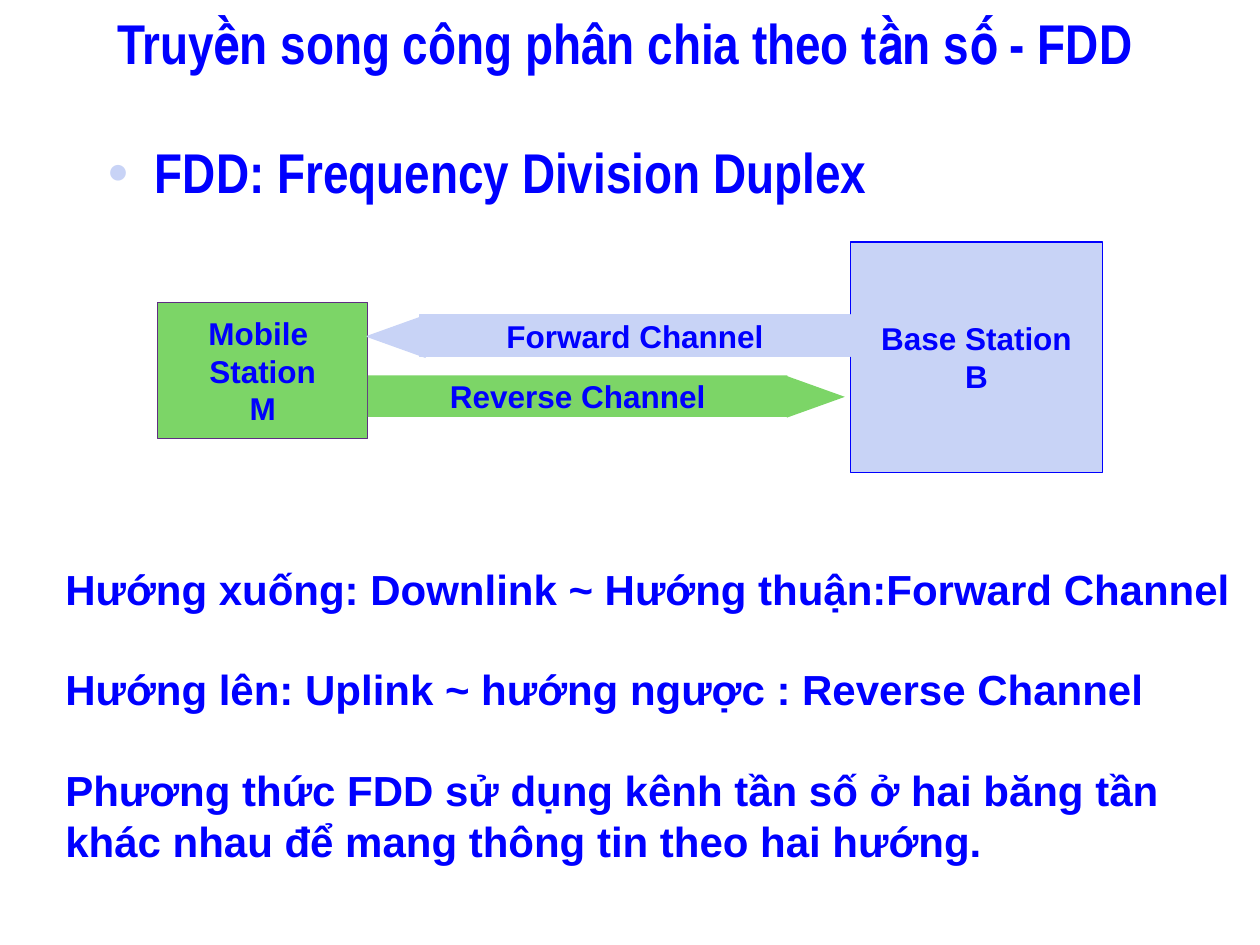
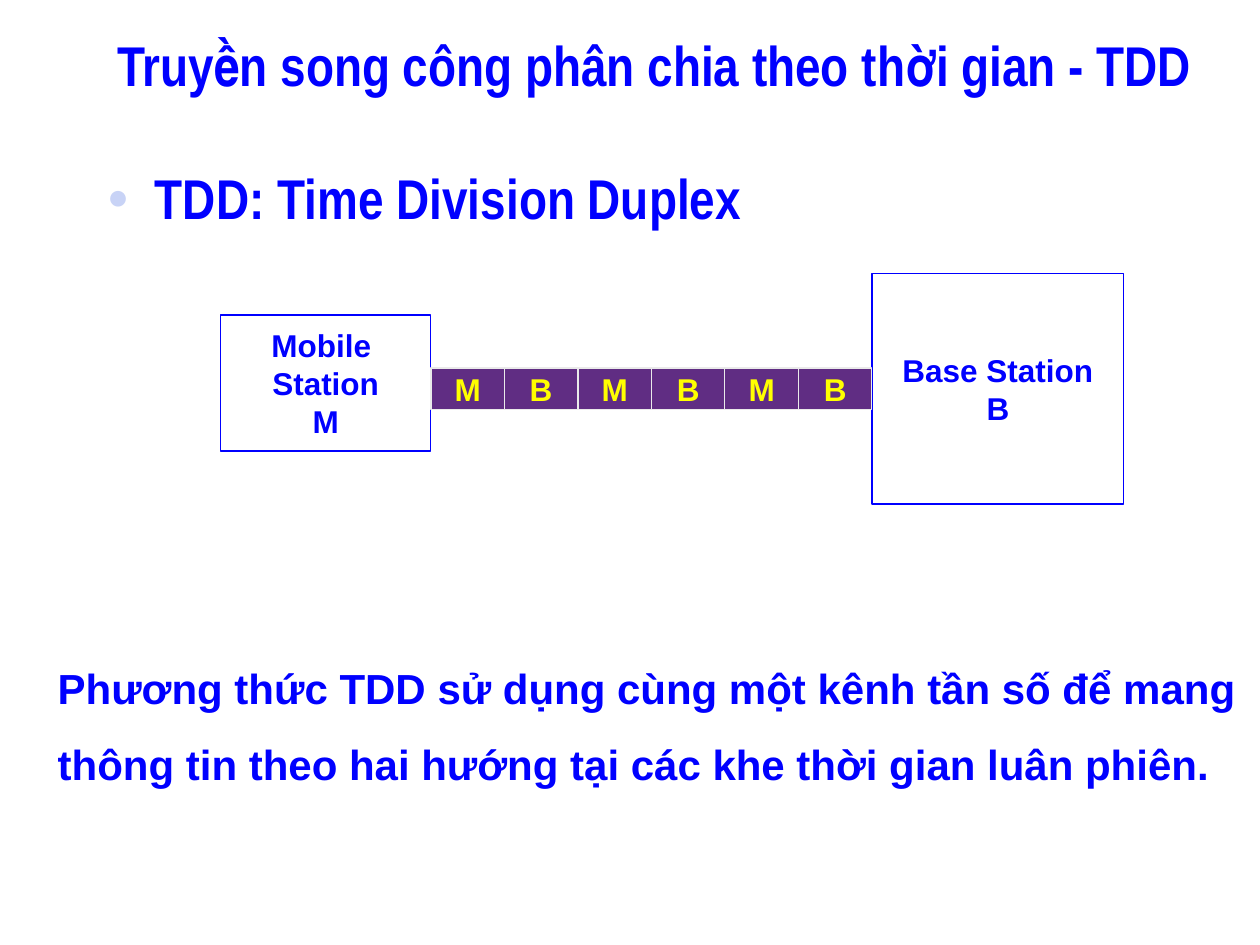
"""Build two slides comparing frequency and time division duplex."""
from lxml.etree import SubElement
from pptx import Presentation
from pptx.dml.color import RGBColor
from pptx.enum.shapes import MSO_SHAPE
from pptx.enum.text import MSO_ANCHOR, MSO_AUTO_SIZE, PP_ALIGN
from pptx.oxml.ns import qn
from pptx.util import Inches, Pt

COLORS = {
    "blue": "0000FF",
    "pale": "C8D3F6",
    "green": "7CD567",
    "purple": "602D83",
    "yellow": "FFFF00",
    "grey": "EAEAEA",
}
HEADING = {"font": "Arial Narrow", "size": 32}
NOTE = {"size": 24}
LABEL = {"align": PP_ALIGN.CENTER, "anchor": MSO_ANCHOR.MIDDLE, "wrap": False}

MOBILE = ["Mobile \nStation", "M"]
BASE = ["Base Station", "B"]
MOBILE_SIZE = (1.67, 1.08)
BASE_SIZE = (2, 1.83)
ARROWHEAD_SIZE = (0.33, 0.46)

FDD = {
    "title": "Truyền song công phân chia theo tần số - FDD",
    "title_box": (0.83, 0.08, 9.17, 0.66),
    "topic": "FDD: Frequency Division Duplex",
    "topic_box": (0.75, 1.12, 9.25, 0.55),
    "blocks": [
        (BASE, (6.75, 1.92, *BASE_SIZE), "pale", "blue"),
        (MOBILE, (1.25, 2.4, *MOBILE_SIZE), "green", "purple"),
        (["Forward Channel"], (3.33, 2.5, 3.42, 0.33), "pale", "pale"),
        (["Reverse Channel"], (2.92, 2.98, 3.33, 0.33), "green", None),
    ],
    "arrowheads": [
        ((6.31, 2.92, *ARROWHEAD_SIZE), 90, "green", None),
        ((2.98, 2.44, *ARROWHEAD_SIZE), 270, "pale", "pale"),
    ],
    "notes": [
        "Hướng xuống: Downlink ~ Hướng thuận:Forward Channel",
        "Hướng lên: Uplink ~ hướng ngược : Reverse Channel",
        "Phương thức FDD sử dụng kênh tần số ở hai băng tần khác nhau "
        "để mang thông tin theo hai hướng.",
    ],
    "notes_box": (0.42, 4.42, 9.58, 2.5),
    "notes_format": {"after": 28.8},
}
TDD = {
    "title": "Truyền song công phân chia theo thời gian - TDD",
    "title_box": (0.83, 0.25, 9.17, 0.66),
    "topic": "TDD: Time Division Duplex",
    "topic_box": (0.75, 1.33, 9.25, 1.11),
    "blocks": [
        (BASE, (6.92, 2.17, *BASE_SIZE), None, "blue"),
        (MOBILE, (1.75, 2.5, *MOBILE_SIZE), None, "blue"),
    ],
    "notes": [
        "Phương thức TDD sử dụng cùng một kênh tần số để mang",
        "thông tin theo hai hướng tại các khe thời gian luân phiên.",
    ],
    "notes_box": (0.36, 5.01, 9.64, 1.3),
    "notes_format": {"spacing": 1.5},
}
TIME_SLOTS = "MBMBMB"
SLOTS_BOX = (3.42, 2.92, 3.5, 0.33)


def rgb(name):
    return RGBColor.from_string(COLORS[name])


def write(frame, lines, font="Arial", size=18, color="blue", align=PP_ALIGN.LEFT,
          anchor=MSO_ANCHOR.TOP, wrap=True, spacing=1.0, after=0):
    frame.word_wrap = wrap
    frame.auto_size = MSO_AUTO_SIZE.NONE
    frame.vertical_anchor = anchor
    for index, line in enumerate(lines):
        paragraph = frame.add_paragraph() if index else frame.paragraphs[0]
        paragraph.text = line
        paragraph.alignment = align
        paragraph.line_spacing = spacing
        paragraph.space_before = Pt(0)
        paragraph.space_after = Pt(after)
        for run in paragraph.runs:
            run.font.name = font
            run.font.size = Pt(size)
            run.font.bold = True
            run.font.color.rgb = rgb(color)


def place(part, box):
    part.left, part.top, part.width, part.height = map(Inches, box)


def add_bullet(paragraph):
    properties = paragraph._p.get_or_add_pPr()
    properties.set("marL", str(Inches(0.38)))
    properties.set("indent", str(Inches(-0.38)))
    tint = SubElement(properties, qn("a:buClr"))
    SubElement(tint, qn("a:srgbClr"), val=COLORS["pale"])
    SubElement(properties, qn("a:buSzPct"), val="65000")
    SubElement(properties, qn("a:buFont"), typeface="Arial")
    SubElement(properties, qn("a:buChar"), char="●")


def add_block(slide, box, fill, line, preset=MSO_SHAPE.RECTANGLE):
    block = slide.shapes.add_shape(preset, *map(Inches, box))
    block.shadow.inherit = False
    if fill:
        block.fill.solid()
        block.fill.fore_color.rgb = rgb(fill)
    else:
        block.fill.background()
    if line:
        block.line.color.rgb = rgb(line)
        block.line.width = Pt(0.75)
    else:
        block.line.fill.background()
    return block


def add_duplex_slide(deck, content):
    slide = deck.slides.add_slide(deck.slide_layouts[1])
    title, topic = slide.shapes.title, slide.placeholders[1]
    place(title, content["title_box"])
    write(title.text_frame, [content["title"]], spacing=0.9, **HEADING)
    place(topic, content["topic_box"])
    add_bullet(topic.text_frame.paragraphs[0])
    write(topic.text_frame, [content["topic"]], spacing=0.85, after=8, **HEADING)
    for lines, box, fill, line in content["blocks"]:
        write(add_block(slide, box, fill, line).text_frame, lines, **LABEL)
    for box, angle, fill, line in content.get("arrowheads", []):
        arrowhead = add_block(slide, box, fill, line, MSO_SHAPE.ISOSCELES_TRIANGLE)
        arrowhead.rotation = angle
    notes = slide.shapes.add_textbox(*map(Inches, content["notes_box"]))
    write(notes.text_frame, content["notes"], **NOTE, **content["notes_format"])
    return slide


def add_time_slots(slide):
    left, top, width, height = SLOTS_BOX
    step = width / len(TIME_SLOTS)
    for index, sender in enumerate(TIME_SLOTS):
        slot = add_block(slide, (left + index * step, top, step, height), "purple", "grey")
        write(slot.text_frame, [sender], color="yellow", **LABEL)


def main():
    deck = Presentation()
    deck.slide_width, deck.slide_height = Inches(10), Inches(7.5)
    add_duplex_slide(deck, FDD)
    add_time_slots(add_duplex_slide(deck, TDD))
    deck.save("out.pptx")


if __name__ == "__main__":
    main()
